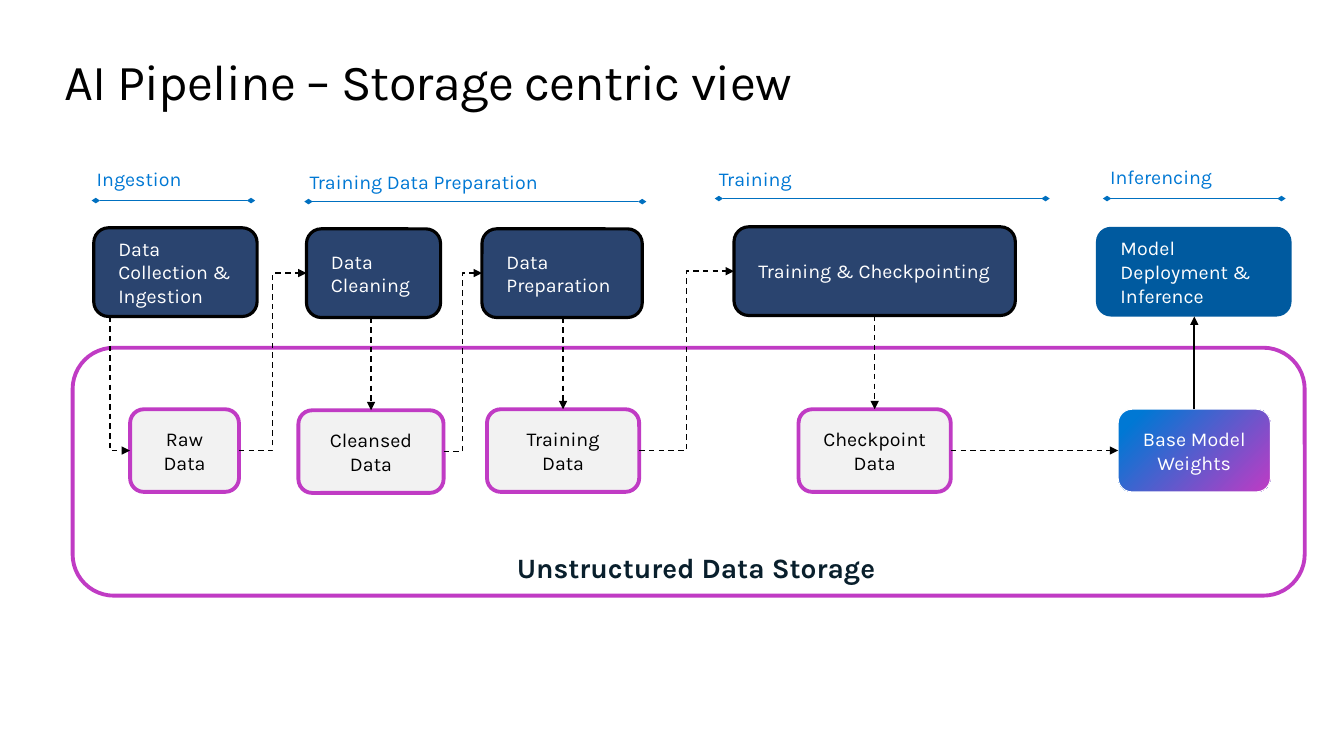
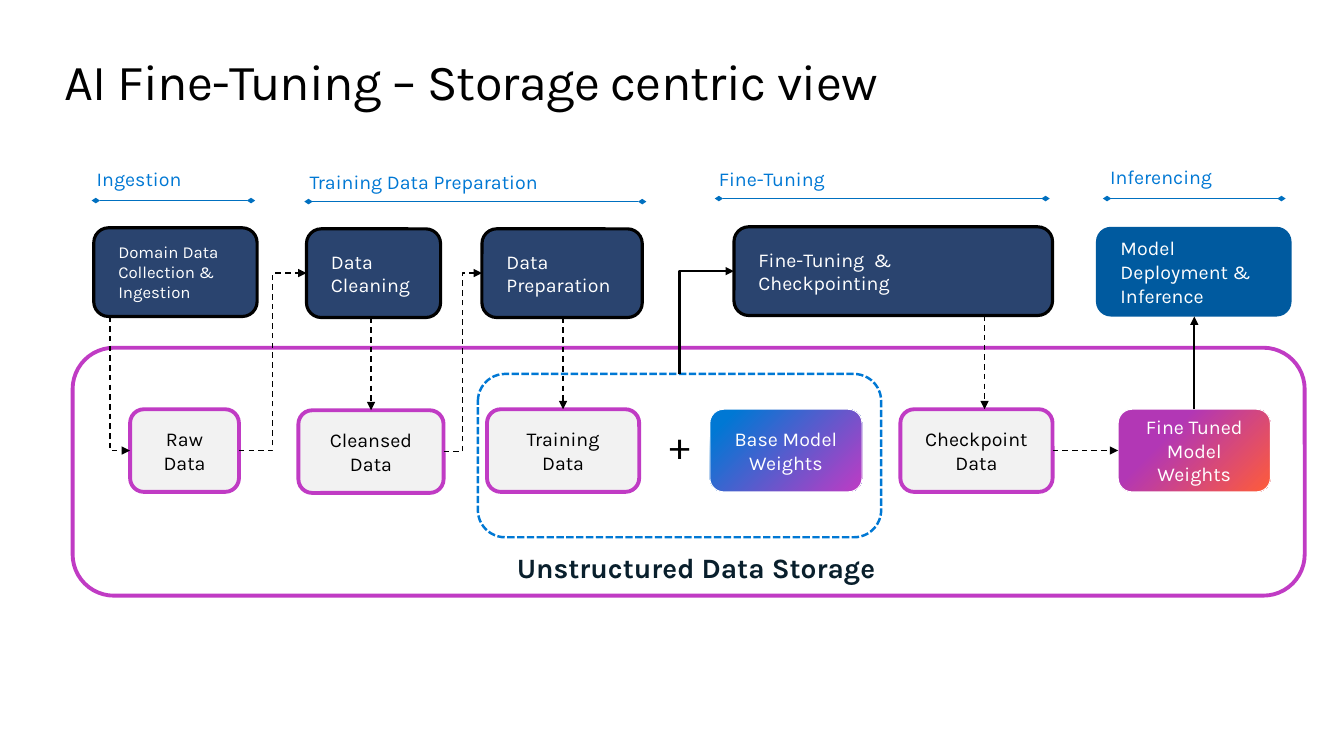
from lxml.etree import SubElement
from pptx import Presentation
from pptx.dml.color import RGBColor
from pptx.enum.dml import MSO_LINE
from pptx.enum.shapes import MSO_CONNECTOR, MSO_SHAPE
from pptx.enum.text import MSO_ANCHOR, PP_ALIGN
from pptx.oxml.ns import qn
from pptx.util import Emu, Pt

FONT = "Karla"
COLORS = {
    "white": "FFFFFF", "black": "000000", "navy": "2A446F", "deep": "005A9F",
    "blue": "0078D4", "rule": "0070C0", "pale": "F2F2F2", "pink": "C03BC4",
    "plum": "B237B5", "coral": "FF5C39", "ink": "091F2C",
}
BASE = (("pink", 0), ("blue", 0.89))
TUNED = (("coral", 0), ("plum", 0.68))
BAND = (93, 164, 1188, 150)
STORE = (72, 345, 1222, 246)
PAD = (20, 4, 20)  # left, top and bottom, right


def px(n):
    """100 px to the inch."""
    return Emu(int(n * 9144))


def tint(name):
    return RGBColor.from_string(COLORS[name])


# Text
def write(shape, text, size=14, color="black", bold=False, center=False,
          middle=False, pad=(0, 0, 0), track=0):
    frame = shape.text_frame
    frame.word_wrap = True
    frame.margin_left, frame.margin_right = px(pad[0]), px(pad[2])
    frame.margin_top = frame.margin_bottom = px(pad[1])
    frame.vertical_anchor = MSO_ANCHOR.MIDDLE if middle else MSO_ANCHOR.TOP
    para = frame.paragraphs[0]
    para.alignment = PP_ALIGN.CENTER if center else PP_ALIGN.LEFT
    run = para.add_run()
    run.text = text
    run.font.name, run.font.size, run.font.bold = FONT, Pt(size), bold
    run.font.color.rgb = tint(color)
    if track:
        run.font._element.set("spc", str(track))


def label(slide, box, text, **style):
    write(slide.shapes.add_textbox(*map(px, box)), text, **style)


# Boxes
def blend(shape, stops):
    """Round gradient that spreads from the lower right corner."""
    shape.fill.gradient()
    for stop, (name, place) in zip(shape.fill.gradient_stops, stops):
        stop.color.rgb, stop.position = tint(name), place
    lin = next(shape._element.iter(qn("a:lin")))
    grad = lin.getparent()
    grad.remove(lin)
    way = SubElement(grad, qn("a:path"), path="circle")
    SubElement(way, qn("a:fillToRect"), l="100000", t="100000")


def panel(slide, box, fill=None, line=None, width=1, dash=None):
    shape = slide.shapes.add_shape(MSO_SHAPE.ROUNDED_RECTANGLE, *map(px, box))
    shape.shadow.inherit = False
    if isinstance(fill, tuple):
        blend(shape, fill)
    elif fill:
        shape.fill.solid()
        shape.fill.fore_color.rgb = tint(fill)
    else:
        shape.fill.background()
    if line:
        shape.line.color.rgb, shape.line.width = tint(line), Pt(width)
        if dash:
            shape.line.dash_style = dash
    else:
        shape.line.fill.background()
    return shape


def step(slide, box, text, fill="navy", line="black", size=14, pad=PAD):
    shape = panel(slide, box, fill, line, 2.25)
    write(shape, text, size=size, color="white", middle=True, pad=pad)
    return box


def data(slide, box, text):
    shape = panel(slide, box, "pale", "pink", 2.75)
    write(shape, text, center=True, middle=True, pad=PAD)
    return box


def model(slide, box, text, stops):
    shape = panel(slide, box, stops, "white", 0.75)
    write(shape, text, color="white", center=True, middle=True, pad=PAD)
    return box


# Points on a box
def top(box):
    return box[0] + box[2] / 2, box[1]


def left(box):
    return box[0], box[1] + box[3] / 2


def right(box):
    return box[0] + box[2], box[1] + box[3] / 2


# Lines and arrows
def link(slide, start, end, kind=MSO_CONNECTOR.STRAIGHT, color="black",
         width=1, dash=True, head=None, tail="triangle"):
    line = slide.shapes.add_connector(kind, *map(px, (*start, *end)))
    line.line.color.rgb, line.line.width = tint(color), Pt(width)
    if dash:
        line.line.dash_style = MSO_LINE.DASH
    props = line._element.spPr
    for tag, mark in (("a:headEnd", head), ("a:tailEnd", tail)):
        if mark:
            wide = "sm" if mark == "diamond" else "med"
            SubElement(props.find(qn("a:ln")), qn(tag), type=mark, w=wide)
    SubElement(props, qn("a:effectLst"))
    return line


def bend(slide, start, end):
    link(slide, start, end, MSO_CONNECTOR.ELBOW)


def turn(slide, start, end, **style):
    """One corner: up or down first, then to the right."""
    (x, y), (u, v) = start, end
    midx, midy = (x + u) / 2, (y + v) / 2
    long, short = abs(v - y) / 2, (u - x) / 2
    down = v > y
    rise = short if down else -short
    line = link(slide, (midx + long, midy - rise), (midx - long, midy + rise),
                MSO_CONNECTOR.ELBOW, **style)
    line.rotation = 270 if down else 90
    line._element.spPr.find(qn("a:prstGeom")).set("prst", "bentConnector2")


def drop(slide, upper, lower, shift=0):
    x, y = top(lower)
    link(slide, (x + shift, upper[1] + upper[3]), (x + shift, y))


# Regions
def phases(slide, box, third):
    x, y = box[:2]
    rows = (  # name, label place and width, rule place and width
        ("Ingestion", 3, 2, 197, 2, 35, 154),
        ("Training Data Preparation", 214, 5, 311, 213, 36, 331),
        (third, 620, 2, 197, 620, 33, 324),
        ("Inferencing", 1008, 0, 197, 1005, 33, 173),
    )
    for name, dx, dy, wide, start, low, span in rows:
        label(slide, (x + dx, y + dy, wide, 24), name, color="blue")
        link(slide, (x + start, y + low), (x + start + span, y + low),
             color="rule", width=0.75, dash=False, head="diamond", tail="diamond")


def steps(slide, box, first, size, fourth, wide, pad):
    x, y = box[:2]
    rows = ((first, 0, 62, 162, size, PAD),
            ("Data Cleaning", 211, 63, 133, 14, PAD),
            ("Data Preparation", 385, 63, 159, 14, PAD),
            (fourth, 635, 61, wide, 14, pad))
    boxes = [step(slide, (x + dx, y + dy, w, 88), name, size=pts, pad=edge)
             for name, dx, dy, w, pts, edge in rows]
    boxes.append(step(slide, (x + 994, y + 61, 194, 89),
                      "Model Deployment & Inference", "deep", None))
    return boxes


def store(slide, box, check, last, stops):
    x, y = box[:2]
    panel(slide, box, None, "pink", 2.75)
    rows = (("Raw Data", 57, 61, 108), ("Cleansed Data", 224, 62, 144),
            ("Training Data", 411, 61, 151), ("Checkpoint Data", check, 61, 151))
    boxes = [data(slide, (x + dx, y + dy, w, 82), name) for name, dx, dy, w in rows]
    boxes.append(model(slide, (x + 1037, y + 61, 151, 82), last, stops))
    label(slide, (x + 387, y + 201, 463, 34), "Unstructured Data Storage",
          size=20, color="ink", bold=True, center=True)
    return boxes


def flows(slide, acts, sets, shift, width):
    gather, clean, prep, train, deploy = acts
    raw, pure, ready, check, final = sets
    turn(slide, (gather[0] + 16, gather[1] + gather[3]), left(raw))
    bend(slide, right(raw), left(clean))
    bend(slide, right(pure), left(prep))
    link(slide, right(check), left(final))
    drop(slide, clean, pure)
    drop(slide, prep, ready)
    drop(slide, train, check, shift)
    x, y = top(final)
    link(slide, (x, y), (x, deploy[1] + deploy[3]), width=width, dash=False)


def blends(slide, box, target):
    """Training data and base model, taken together into tuning."""
    x, y = box[:2]
    model(slide, (x + 230, y + 35, 151, 82), "Base Model Weights", BASE)
    panel(slide, box, None, "blue", 1.75, MSO_LINE.SQUARE_DOT)
    label(slide, (x + 181, y + 46, 38, 47), "+", size=28, center=True)
    turn(slide, top(box), left(target), width=1.75, dash=False)


def page(deck, title, phase, first, fourth, wide, check, last, stops,
         size=14, pad=PAD, shift=0, width=1.5):
    slide = deck.slides.add_slide(deck.slide_layouts[6])
    label(slide, (64, 50, 1205, 61), title, size=36, track=-50)
    acts = steps(slide, BAND, first, size, fourth, wide, pad)
    sets = store(slide, STORE, check, last, stops)
    phases(slide, BAND, phase)
    flows(slide, acts, sets, shift, width)
    return slide, acts, sets


def main():
    deck = Presentation()
    deck.slide_width, deck.slide_height = px(1333), px(750)

    # Pipeline
    slide, acts, sets = page(
        deck, "AI Pipeline – Storage centric view", "Training",
        "Data Collection & Ingestion", "Training & Checkpointing", 279,
        720, "Base Model Weights", BASE)
    bend(slide, right(sets[2]), left(acts[3]))

    # Fine-tuning: smaller first label, so that it stays inside its box
    slide, acts, sets = page(
        deck, "AI Fine-Tuning – Storage centric view", "Fine-Tuning",
        "Domain Data Collection & Ingestion", "Fine-Tuning  & Checkpointing", 316,
        821, "Fine Tuned Model Weights", TUNED,
        size=12, pad=(20, 4, 40), shift=8, width=1.25)
    blends(slide, (474, 371, 400, 162), acts[3])

    deck.save("out.pptx")


if __name__ == "__main__":
    main()
